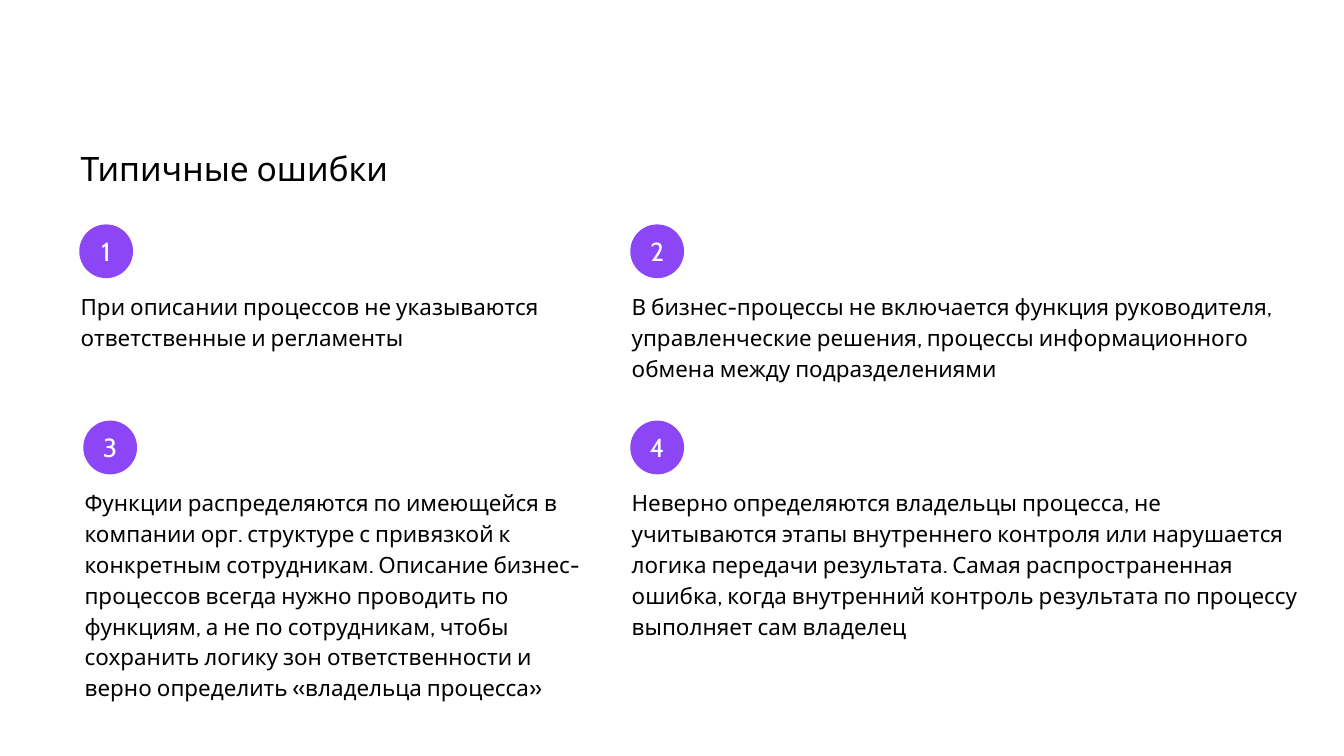
from dataclasses import dataclass

from pptx import Presentation
from pptx import util as u
from pptx.dml.color import RGBColor
from pptx.enum import shapes, text

COLORS = {"ink": "000000", "badge": "8D46F6", "digit": "FFFFFF"}
FONT = "Cabin"
SLIDE_WIDTH = 10
SLIDE_HEIGHT = SLIDE_WIDTH * 9 / 16
BADGE_SIZE = 0.4
BODY_OFFSET = 0.48
BODY_INDENT = 0.01


@dataclass(frozen=True)
class Mistake:
    left: float
    top: float
    width: float
    height: float
    wording: str


MISTAKES = [
    Mistake(0.59, 1.67, 3.51, 0.46,
            "При описании процессов не указываются ответственные и регламенты"),
    Mistake(4.69, 1.67, 4.98, 0.7,
            "В бизнес-процессы не включается функция руководителя, управленческие решения, "
            "процессы информационного обмена между подразделениями"),
    Mistake(0.62, 3.13, 3.83, 1.63,
            "Функции распределяются по имеющейся в компании орг. структуре с привязкой к "
            "конкретным сотрудникам. Описание бизнес-процессов всегда нужно проводить по "
            "функциям, а не по сотрудникам, чтобы сохранить логику зон ответственности и "
            "верно определить «владельца процесса»"),
    Mistake(4.69, 3.13, 4.98, 1.16,
            "Неверно определяются владельцы процесса, не учитываются этапы внутреннего "
            "контроля или нарушается логика передачи результата. Самая распространенная "
            "ошибка, когда внутренний контроль результата по процессу выполняет сам владелец"),
]


def write(holder, wording: str, size: float, color: str, anchor, align):
    frame = holder.text_frame
    frame_format = {
        "margin_left": 0, "margin_top": 0, "margin_right": 0, "margin_bottom": 0,
        "word_wrap": True, "vertical_anchor": anchor,
    }
    for name, value in frame_format.items():
        setattr(frame, name, value)
    paragraph = frame.paragraphs[0]
    paragraph.alignment = align
    run = paragraph.add_run()
    run.text = wording
    for name, value in {"name": FONT, "size": u.Pt(size)}.items():
        setattr(run.font, name, value)
    run.font.color.rgb = RGBColor.from_string(COLORS[color])
    return paragraph


def add_passage(slide, left: float, top: float, width: float, height: float,
                wording: str, size: float, anchor):
    box = slide.shapes.add_textbox(*map(u.Inches, (left, top, width, height)))
    paragraph = write(box, wording, size, "ink", anchor, text.PP_ALIGN.LEFT)
    box.text_frame.auto_size = text.MSO_AUTO_SIZE.SHAPE_TO_FIT_TEXT
    return box, paragraph


def add_badge(slide, left: float, top: float, number: int) -> None:
    badge = slide.shapes.add_shape(
        shapes.MSO_SHAPE.OVAL, *map(u.Inches, (left, top, BADGE_SIZE, BADGE_SIZE)))
    badge.shadow.inherit = False
    badge.fill.solid()
    badge.fill.fore_color.rgb = RGBColor.from_string(COLORS["badge"])
    badge.line.fill.background()
    write(badge, str(number), 14, "digit", text.MSO_ANCHOR.MIDDLE, text.PP_ALIGN.CENTER)


def add_mistake(slide, mistake: Mistake, number: int) -> None:
    add_badge(slide, mistake.left, mistake.top, number)
    _, explanation = add_passage(
        slide, mistake.left, mistake.top + BODY_OFFSET, mistake.width, mistake.height,
        mistake.wording, 12, text.MSO_ANCHOR.TOP)
    explanation.line_spacing = 1.15
    explanation._p.get_or_add_pPr().set("marL", str(u.Inches(BODY_INDENT)))


def main() -> None:
    deck = Presentation()
    deck.slide_width, deck.slide_height = u.Inches(SLIDE_WIDTH), u.Inches(SLIDE_HEIGHT)
    slide = deck.slides.add_slide(deck.slide_layouts[6])
    heading, _ = add_passage(slide, 0.6, 1.09, 8.82, 0.31, "Типичные ошибки", 18,
                             text.MSO_ANCHOR.BOTTOM)
    heading.text_frame.margin_top = u.Inches(0.01)
    for number, mistake in enumerate(MISTAKES, 1):
        add_mistake(slide, mistake, number)
    deck.save("out.pptx")


if __name__ == "__main__":
    main()
